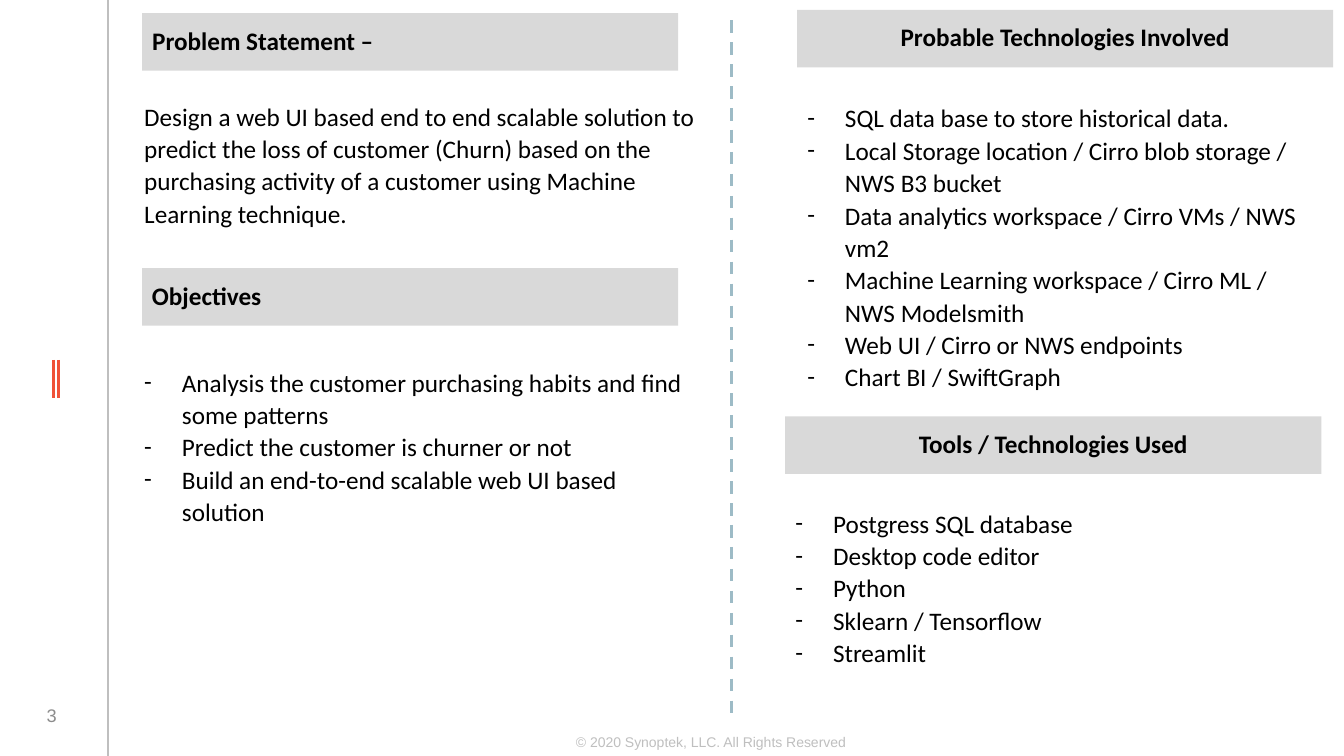
from pptx import Presentation
from pptx.dml.color import RGBColor
from pptx.enum.dml import MSO_LINE
from pptx.enum.shapes import MSO_CONNECTOR, MSO_SHAPE
from pptx.enum.text import MSO_ANCHOR, MSO_AUTO_SIZE, PP_ALIGN
from pptx.oxml.ns import qn
from pptx.util import Cm, Pt
from lxml import etree

STRAIGHT, RECT = MSO_CONNECTOR.STRAIGHT, MSO_SHAPE.RECTANGLE
DASH = MSO_LINE.DASH
TOP, MIDDLE = MSO_ANCHOR.TOP, MSO_ANCHOR.MIDDLE
LEFT, CENTER = PP_ALIGN.LEFT, PP_ALIGN.CENTER
NO_FIT = MSO_AUTO_SIZE.NONE


def rgb(value):
    """Turn a hex string into a colour."""
    return RGBColor.from_string(value)


class SlideBuilder:
    """Hold the style and the current slide."""

    font, size, ink, grey, bar = "Calibri", 18, "000000", "BFBFBF", "D9D9D9"
    indent, bar_size = 0.95, (13.51, 1.45)

    def __init__(self, s):
        """Start on the given slide."""
        self.s = s

    def place(self, sp, x, y, w, h):
        """Set the position and size of a shape."""
        sp.left, sp.top, sp.width, sp.height = Cm(x), Cm(y), Cm(w), Cm(h)

    def frame(self, sp, anchor=TOP, wrap=True):
        """Prepare the text frame of a shape."""
        tf = sp.text_frame
        tf.auto_size, tf.word_wrap, tf.vertical_anchor = NO_FIT, wrap, anchor
        return tf

    def add_text(self, p, text, align=LEFT, spacing=1.0, bold=False,
                 font=font, size=size, color=ink):
        """Fill a paragraph with one formatted run."""
        p.alignment, p.line_spacing = align, spacing
        p.space_before = p.space_after = Pt(0)
        r = p.add_run()
        r.text = text
        r.font.name, r.font.size, r.font.bold = font, Pt(size), bold
        r.font.color.rgb = rgb(color)

    def line(self, x, y1, y2, color, width, dash=None):
        """Draw a vertical line."""
        c = self.s.shapes.add_connector(STRAIGHT, Cm(x), Cm(y1), Cm(x), Cm(y2))
        c.line.color.rgb, c.line.width = rgb(color), Pt(width)
        if dash:
            c.line.dash_style = dash
        etree.SubElement(c._element.spPr, qn("a:effectLst"))

    def heading(self, sp, x, y, text, align=LEFT):
        """Format a shape as a grey heading bar."""
        self.place(sp, x, y, *self.bar_size)
        sp.fill.solid()
        sp.fill.fore_color.rgb = rgb(self.bar)
        sp.line.fill.background()
        tf = self.frame(sp, MIDDLE)
        self.add_text(tf.paragraphs[0], text, align, 0.9, True)

    def title(self, x, y, text):
        """Format the title placeholder as a heading bar."""
        self.heading(self.s.shapes.title, x, y, text)

    def section(self, x, y, text, align=LEFT):
        """Add a heading bar."""
        sp = self.s.shapes.add_shape(RECT, 0, 0, 0, 0)
        sp.shadow.inherit = False
        self.heading(sp, x, y, text, align)

    def body(self, idx, box, items, bullets=True):
        """Fill a body placeholder with paragraphs or dashed items."""
        sp = self.s.placeholders[idx]
        self.place(sp, *box)
        tf = self.frame(sp)
        for i, text in enumerate(items):
            p = tf.add_paragraph() if i else tf.paragraphs[0]
            if bullets:
                pPr = p._p.get_or_add_pPr()
                pPr.set("marL", str(Cm(self.indent)))
                pPr.set("indent", str(-Cm(self.indent)))
                etree.SubElement(pPr, qn("a:buFont")).set("typeface", self.font)
                etree.SubElement(pPr, qn("a:buChar")).set("char", "-")
            self.add_text(p, text, spacing=1.07)

    def label(self, box, text, size, color, anchor=TOP, wrap=True):
        """Add a small centred label."""
        sp = self.s.shapes.add_textbox(0, 0, 0, 0)
        self.place(sp, *box)
        tf = self.frame(sp, anchor, wrap)
        self.add_text(tf.paragraphs[0], text, CENTER, font="Arial", size=size, color=color)


def main():
    """Build and save the slide."""
    prs = Presentation()
    prs.slide_width, prs.slide_height = Cm(33.87), Cm(19.05)
    b = SlideBuilder(prs.slides.add_slide(prs.slide_layouts[4]))

    b.line(2.72, 0, 19.05, b.grey, 1)
    for x in (1.35, 1.47):
        b.line(x, 9.07, 10.03, "F05238", 2)
    b.line(18.44, 0.51, 18.03, "9DBBC6", 2.25, DASH)
    b.label((14.22, 18.36, 7.39, 0.69), "© 2020 Synoptek, LLC. All Rights Reserved",
            10, b.grey, wrap=False)
    b.label((0.36, 17.37, 1.88, 1.32), "3", 13, "8C8C8C", MIDDLE)

    b.title(3.58, 0.33, "Problem Statement –")
    b.body(1, (3.38, 2.36, 14.4, 3.51), [
        "Design a web UI based end to end scalable solution to predict the loss of "
        "customer (Churn) based on the purchasing activity of a customer using "
        "Machine Learning technique."], bullets=False)

    b.section(3.58, 6.76, "Objectives")
    b.body(2, (3.38, 9.07, 14.4, 4.34), [
        "Analysis the customer purchasing habits and find some patterns",
        "Predict the customer is churner or not",
        "Build an end-to-end scalable web UI based solution"])

    b.section(20.09, 0.25, "Probable Technologies Involved", CENTER)
    b.body(3, (20.09, 2.41, 12.98, 7.62), [
        "SQL data base to store historical data.",
        "Local Storage location / Cirro blob storage / NWS B3 bucket",
        "Data analytics workspace / Cirro VMs / NWS vm2",
        "Machine Learning workspace / Cirro ML / NWS Modelsmith",
        "Web UI / Cirro or NWS endpoints",
        "Chart BI / SwiftGraph"])

    b.section(19.79, 10.49, "Tools / Technologies Used", CENTER)
    b.body(4, (19.79, 12.62, 12.98, 4.34), [
        "Postgress SQL database",
        "Desktop code editor",
        "Python",
        "Sklearn / Tensorflow",
        "Streamlit"])

    prs.save("out.pptx")


if __name__ == "__main__":
    main()
